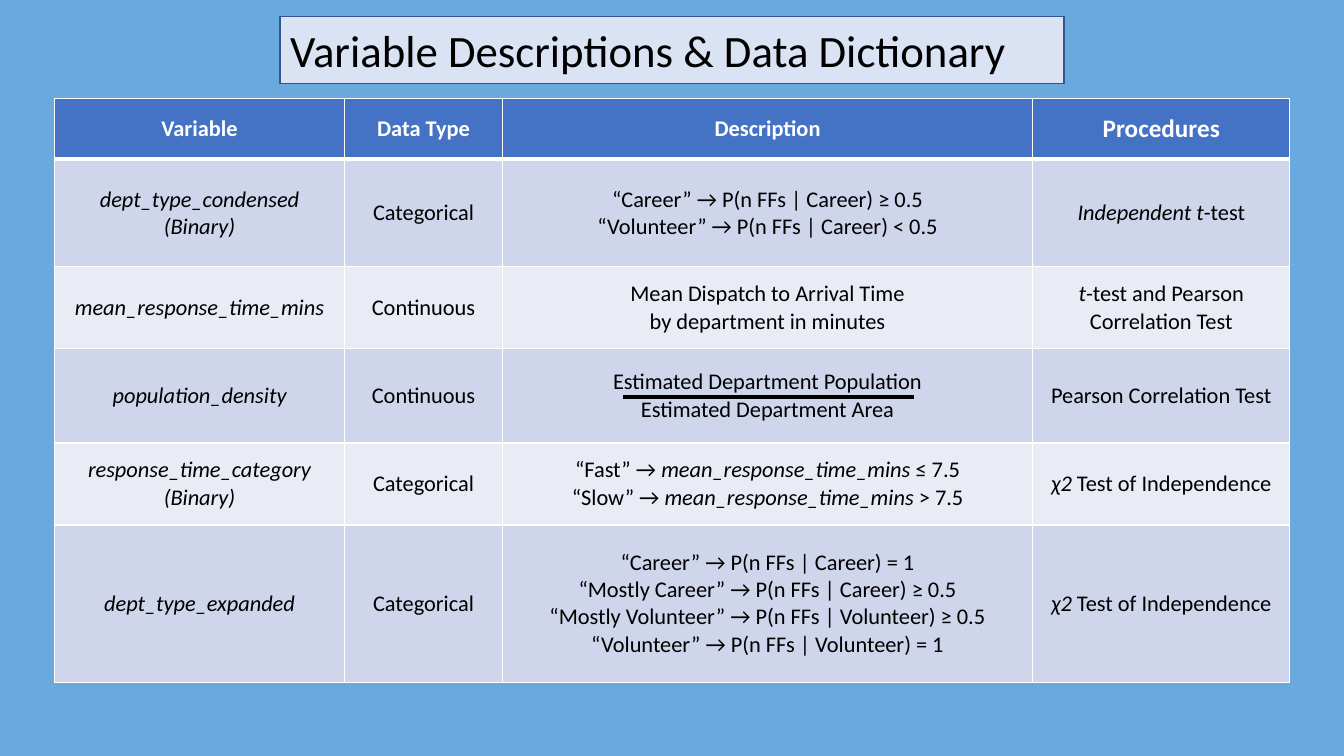
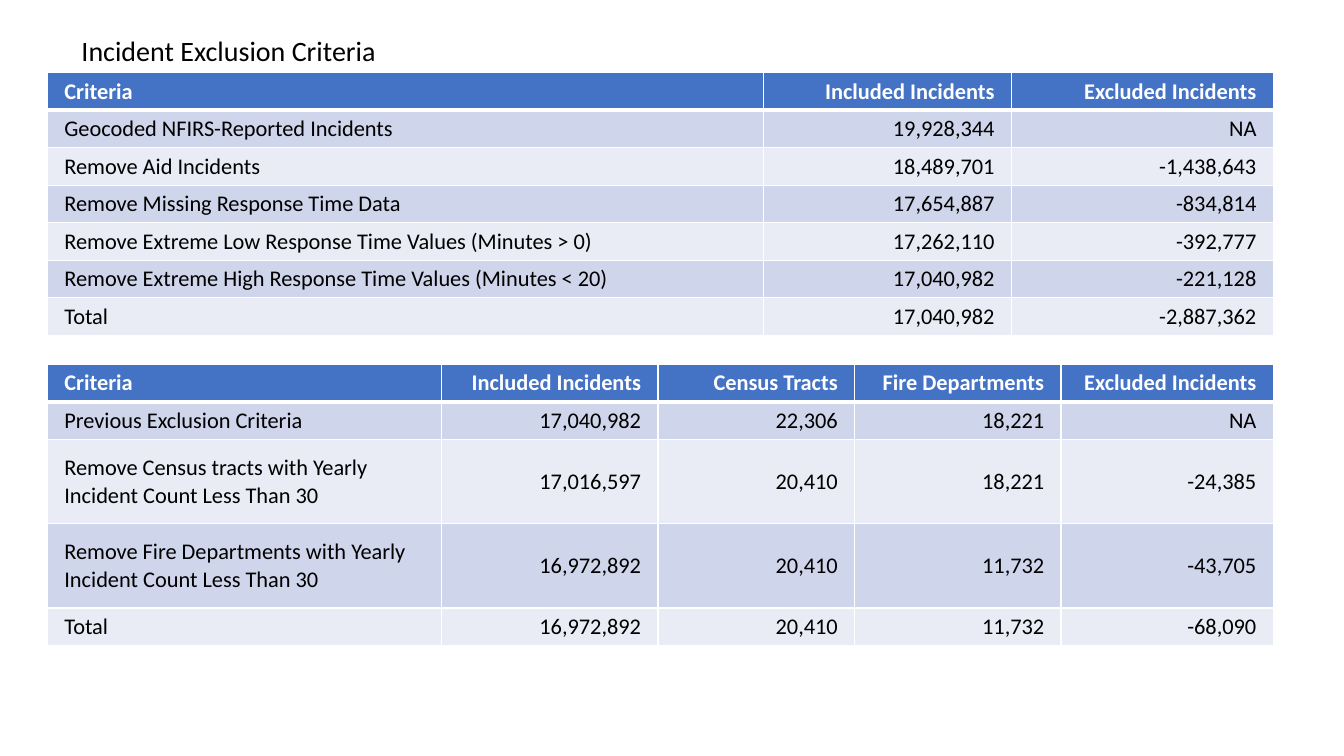
from pptx import Presentation
from pptx.dml.color import RGBColor
from pptx.enum.shapes import MSO_CONNECTOR
from pptx.enum.text import MSO_ANCHOR, MSO_AUTO_SIZE, PP_ALIGN
from pptx.oxml.ns import qn
from pptx.util import Pt
from lxml.etree import SubElement

FONT = "Calibri"
BLACK, WHITE = "000000", "FFFFFF"
SKY, PALE, NAVY = "69A9DD", "DAE3F3", "325491"
HEAD, BANDS = "4472C4", ("CFD5EA", "E9EBF5")
LEFT, MID, RIGHT = PP_ALIGN.LEFT, PP_ALIGN.CENTER, PP_ALIGN.RIGHT

# Asterisks enclose italic words.
VARS = [
    ("Variable", "Data Type", "Description", "Procedures"),
    ("*dept_type_condensed*\n*(Binary)*", "Categorical",
     "“Career” → P(n FFs | Career) ≥ 0.5\n“Volunteer” → P(n FFs | Career) < 0.5",
     "*Independent t*-test"),
    ("*mean_response_time_mins*", "Continuous",
     "Mean Dispatch to Arrival Time\nby department in minutes",
     "*t*-test and Pearson Correlation Test"),
    ("*population_density*", "Continuous",
     "Estimated Department Population\nEstimated Department Area",
     "Pearson Correlation Test"),
    ("*response_time_category*\n*(Binary)*", "Categorical",
     "“Fast” → *mean_response_time_mins* ≤ 7.5\n"
     "“Slow” → *mean_response_time_mins* > 7.5",
     "*χ2* Test of Independence"),
    ("*dept_type_expanded*", "Categorical",
     "“Career” → P(n FFs | Career) = 1\n"
     "“Mostly Career” → P(n FFs | Career) ≥ 0.5\n"
     "“Mostly Volunteer” → P(n FFs | Volunteer) ≥ 0.5\n"
     "“Volunteer” → P(n FFs | Volunteer) = 1",
     "*χ2* Test of Independence"),
]
STEPS = [
    ("Criteria", "Included Incidents", "Excluded Incidents"),
    ("Geocoded NFIRS-Reported Incidents", "19,928,344", "NA"),
    ("Remove Aid Incidents", "18,489,701", "-1,438,643"),
    ("Remove Missing Response Time Data", "17,654,887", "-834,814"),
    ("Remove Extreme Low Response Time Values (Minutes > 0)",
     "17,262,110", "-392,777"),
    ("Remove Extreme High Response Time Values (Minutes < 20)",
     "17,040,982", "-221,128"),
    ("Total", "17,040,982", "-2,887,362"),
]
AREAS = [
    ("Criteria", "Included Incidents", "Census Tracts", "Fire Departments",
     "Excluded Incidents"),
    ("Previous Exclusion Criteria", "17,040,982", "22,306", "18,221", "NA"),
    ("Remove Census tracts with Yearly Incident Count Less Than 30",
     "17,016,597", "20,410", "18,221", "-24,385"),
    ("Remove Fire Departments with Yearly Incident Count Less Than 30",
     "16,972,892", "20,410", "11,732", "-43,705"),
    ("Total", "16,972,892", "20,410", "11,732", "-68,090"),
]


def color(code):
    return RGBColor.from_string(code)


def paint(fill, code):
    fill.solid()
    fill.fore_color.rgb = color(code)


def write(frame, text, size=16, ink=BLACK, bold=False, align=LEFT):
    """Fill a frame line by line, with *marked* words in italics."""
    for num, line in enumerate(text.split("\n")):
        para = frame.add_paragraph() if num else frame.paragraphs[0]
        para.alignment = align
        for part, words in enumerate(line.split("*")):
            if words:
                run = para.add_run()
                run.text = words
                font = run.font
                font.name, font.size, font.bold = FONT, Pt(size), bold
                font.italic = part % 2 == 1
                font.color.rgb = color(ink)


def edge(cell, row):
    """Rule a cell in white, with a thick line under the header."""
    props = cell._tc.get_or_add_tcPr()
    for side in "LRTB":
        thick = (side == "B" and row == 0) or (side == "T" and row == 1)
        line = SubElement(props, qn("a:ln" + side), w=str(Pt(3 if thick else 1)))
        SubElement(SubElement(line, qn("a:solidFill")), qn("a:srgbClr"), val=WHITE)


def grid(slide, data, left, top, wide, high, aligns, pad=7.2, sizes=()):
    """Draw a banded table; sizes overrides header sizes by column."""
    table = slide.shapes.add_table(
        len(data), len(wide), Pt(left), Pt(top), Pt(sum(wide)), Pt(sum(high))).table
    for col, width in zip(table.columns, wide):
        col.width = Pt(width)
    sizes = dict(sizes)
    for r, items in enumerate(data):
        table.rows[r].height = Pt(high[r])
        for c, text in enumerate(items):
            cell = table.cell(r, c)
            edge(cell, r)
            paint(cell.fill, BANDS[(r - 1) % 2] if r else HEAD)
            cell.vertical_anchor = MSO_ANCHOR.MIDDLE
            cell.margin_left = cell.margin_right = Pt(pad)
            write(cell.text_frame, text, size=16 if r else sizes.get(c, 16),
                  ink=BLACK if r else WHITE, bold=r == 0, align=aligns[c])


def start(deck, back, title, box, size):
    slide = deck.slides.add_slide(deck.slide_layouts[5])
    paint(slide.background.fill, back)
    shape = slide.shapes.title
    shape.left, shape.top, shape.width, shape.height = map(Pt, box)
    frame = shape.text_frame
    frame.auto_size, frame.word_wrap = MSO_AUTO_SIZE.NONE, True
    frame.vertical_anchor = MSO_ANCHOR.MIDDLE
    write(frame, title, size=size)
    return slide


def rule(slide, x1, x2, y):
    line = slide.shapes.add_connector(
        MSO_CONNECTOR.STRAIGHT, Pt(x1), Pt(y), Pt(x2), Pt(y))
    line.line.width = Pt(3)
    line.line.color.rgb = color(BLACK)
    SubElement(line._element.spPr, qn("a:effectLst"))


def define(deck):
    slide = start(deck, SKY, "Variable Descriptions & Data Dictionary",
                  (200, 11.7, 560, 48), 32)
    title = slide.shapes.title
    paint(title.fill, PALE)
    title.line.color.rgb = color(NAVY)
    title.line.width = Pt(1)
    grid(slide, VARS, 38.8, 70.4, (207.5, 112.5, 379, 183.5),
         (43.4, 76.8, 58.5, 67.4, 58.5, 112.4), [MID] * 4, sizes={3: 18})
    rule(slide, 445, 653, 283.7)


def exclude(deck):
    slide = start(deck, WHITE, "Incident Exclusion Criteria",
                  (51, 20.4, 236, 31.5), 20)
    row, tall = 26.7, 60.2
    for data, top, wide, high in (
            (STEPS, 52, (511.5, 177, 187), [row] * 7),
            (AREAS, 260.4, (281.5, 154.5, 140.5, 147.5, 151.5),
             [row, row, tall, tall, row])):
        grid(slide, data, 34, top, wide, high,
             [LEFT] + [RIGHT] * (len(wide) - 1), pad=12)


def main():
    deck = Presentation()
    deck.slide_width, deck.slide_height = Pt(960), Pt(540)
    define(deck)
    exclude(deck)
    deck.save("out.pptx")


if __name__ == "__main__":
    main()
